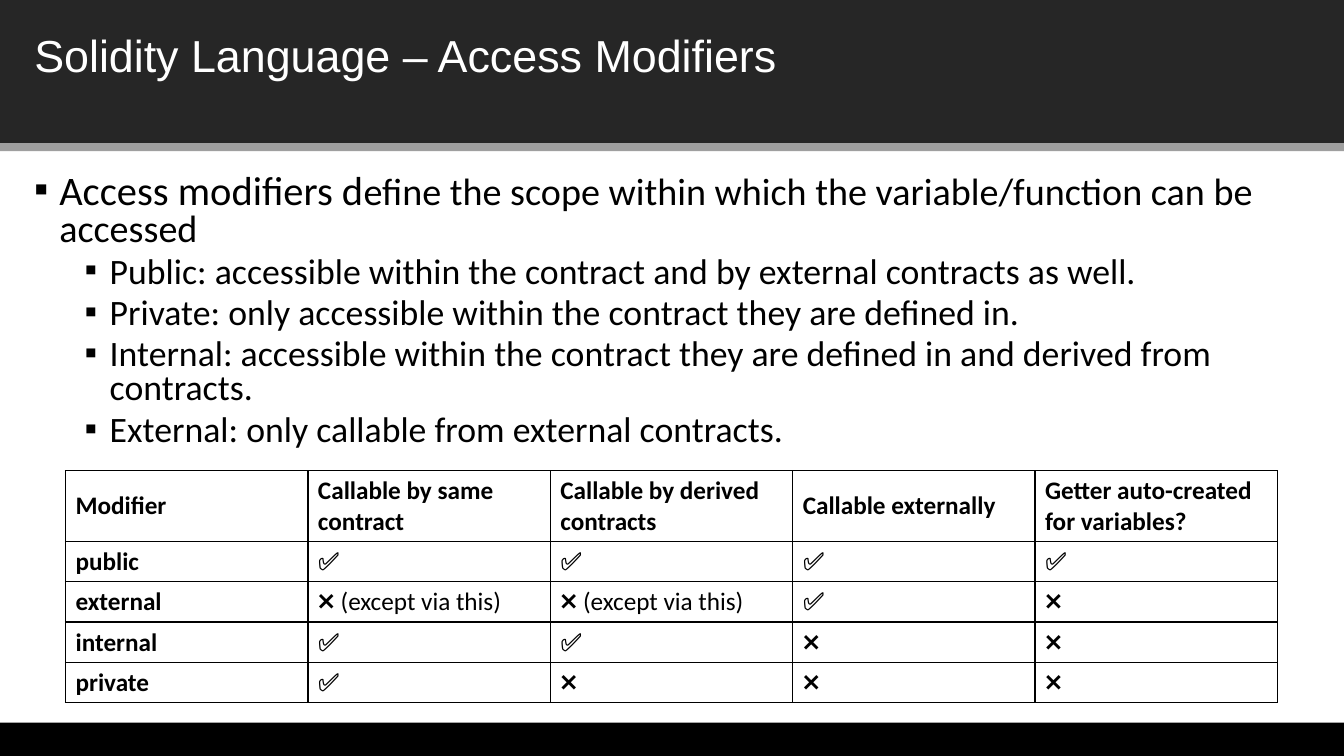
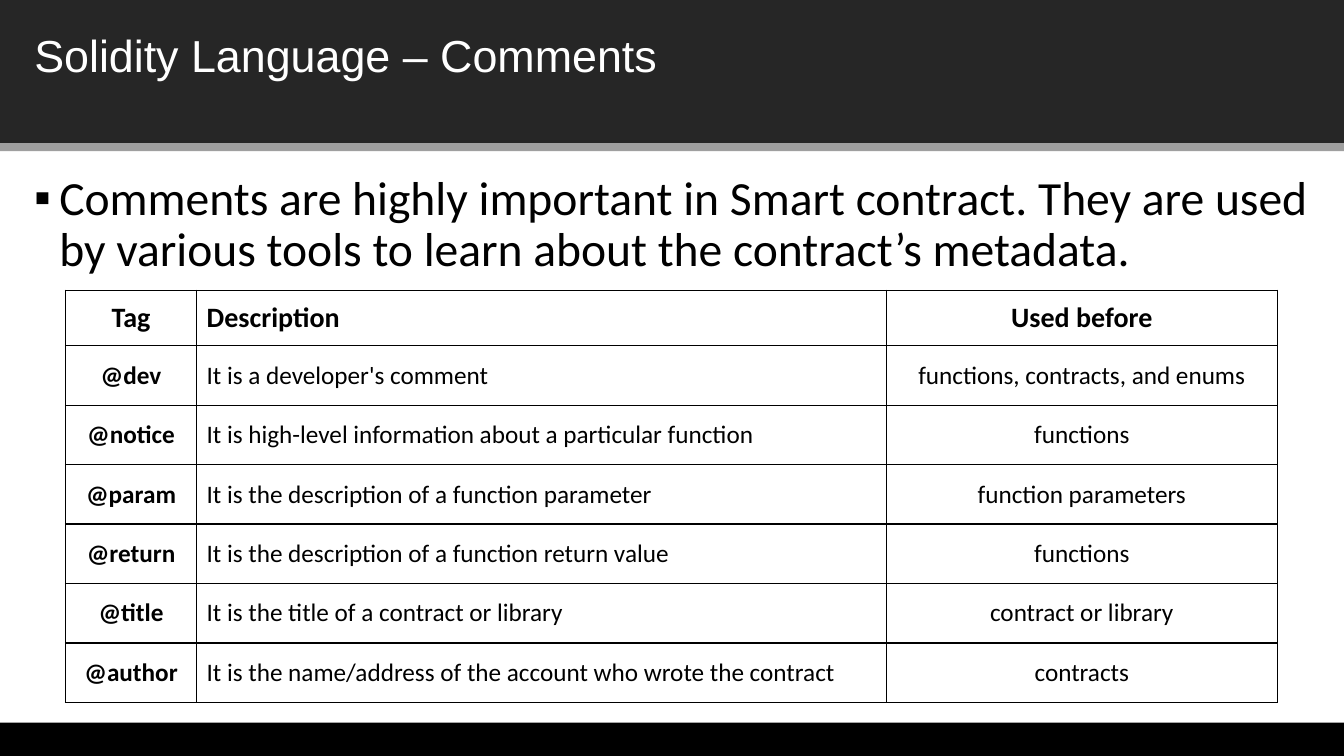
from lxml import etree
from pptx import Presentation
from pptx.dml.color import RGBColor
from pptx.enum.shapes import MSO_SHAPE
from pptx.enum.text import MSO_ANCHOR, PP_ALIGN
from pptx.oxml.ns import qn
from pptx.util import Inches, Pt

RECTANGLE = MSO_SHAPE.RECTANGLE
TOP, MIDDLE = MSO_ANCHOR.TOP, MSO_ANCHOR.MIDDLE
LEFT, CENTER = PP_ALIGN.LEFT, PP_ALIGN.CENTER

WIDTH, HEIGHT = 13.33, 7.5
INK, PAPER, HEADER_BAND, RULE = "000000", "FFFFFF", "262626", "9F9F9F"
TITLE_FONT, BODY_FONT = "Arial", "Calibri"
TITLE_BOX = (0.24, 0.22, 12.84, 0.64)
BODY_LEFT, BODY_TOP, BODY_WIDTH = 0.24, 1.68, 12.84
TABLE_LEFT, TABLE_WIDTH, TABLE_BOTTOM = 0.65, 12.02, 6.97
BANDS = [  # top, height, colour
    (0, 1.42, HEADER_BAND),
    (1.42, 0.08, RULE),
    (7.17, 0.33, INK),
]

YES, NO = "✅", "❌"
NOT_VIA_THIS = "❌ (except via this)"
ACCESS_POINTS = [  # level, runs of (text, size)
    (0, [("Access modifiers d", 28.9),
         ("efine the scope within which the variable/function can be accessed", 27.2)]),
    (1, [("Public: accessible within the contract and by external contracts as well.", 25.5)]),
    (1, [("Private: only accessible within the contract they are defined in.", 25.5)]),
    (1, [("Internal: accessible within the contract they are defined in and derived "
          "from contracts.", 25.5)]),
    (1, [("External: only callable from external contracts.", 25.5)]),
]
ACCESS_ROWS = [
    ("Modifier", "Callable by same contract", "Callable by derived contracts",
     "Callable externally", "Getter auto-created for variables?"),
    ("public", YES, YES, YES, YES),
    ("external", NOT_VIA_THIS, NOT_VIA_THIS, YES, NO),
    ("internal", YES, YES, NO, NO),
    ("private", YES, NO, NO, NO),
]
COMMENT_POINTS = [
    (0, [("Comments are highly important in Smart contract. They are used by various "
          "tools to learn about the contract’s metadata.", 34)]),
]
COMMENT_ROWS = [
    ("Tag", "Description", "Used before"),
    ("@dev", "It is a developer's comment", "functions, contracts, and enums"),
    ("@notice", "It is high-level information about a particular function", "functions"),
    ("@param", "It is the description of a function parameter", "function parameters"),
    ("@return", "It is the description of a function return value", "functions"),
    ("@title", "It is the title of a contract or library", "contract or library"),
    ("@author", "It is the name/address of the account who wrote the contract", "contracts"),
]


def rgb(hex_colour):
    return RGBColor.from_string(hex_colour)


def style(font, name, size, colour, bold=False):
    font.name, font.size, font.bold = name, Pt(size), bold
    font.color.rgb = rgb(colour)


def add_bands(slide):
    """Draw the bands, then hand them to the layout so every slide shows them."""
    layout_tree = slide.slide_layout.shapes.element
    for top, height, colour in BANDS:
        band = slide.shapes.add_shape(
            RECTANGLE, 0, Inches(top), Inches(WIDTH), Inches(height))
        band.shadow.inherit = False
        band.fill.solid()
        band.fill.fore_color.rgb = rgb(colour)
        band.line.fill.background()
        layout_tree.append(band.element)


def set_title(slide, text):
    title = slide.shapes.title
    title.left, title.top, title.width, title.height = map(Inches, TITLE_BOX)
    frame = title.text_frame
    frame.text, frame.vertical_anchor = text, MIDDLE
    paragraph = frame.paragraphs[0]
    paragraph.alignment = LEFT
    style(paragraph.font, TITLE_FONT, 32, PAPER)


def add_bullet(paragraph, level):
    properties = paragraph._p.get_or_add_pPr()
    properties.set("marL", str(Inches(0.25 + 0.5 * level)))
    properties.set("indent", str(Inches(-0.25)))
    etree.SubElement(properties, qn("a:buFont"), typeface="Arial")
    etree.SubElement(properties, qn("a:buChar"), char="▪")


def add_points(slide, points, height, line_spacing):
    body = slide.shapes.add_textbox(*map(Inches, (BODY_LEFT, BODY_TOP, BODY_WIDTH, height)))
    frame = body.text_frame
    frame.word_wrap, frame.vertical_anchor = True, TOP
    for index, (level, runs) in enumerate(points):
        paragraph = frame.add_paragraph() if index else frame.paragraphs[0]
        paragraph.level = level
        add_bullet(paragraph, level)
        paragraph.line_spacing = line_spacing
        paragraph.space_before = Pt(5 if index else 0)
        style(paragraph.font, BODY_FONT, runs[0][1], INK)
        for text, size in runs:
            run = paragraph.add_run()
            run.text = text
            style(run.font, BODY_FONT, size, INK)


def add_borders(cell):
    properties = cell._tc.get_or_add_tcPr()
    for side in ("lnL", "lnR", "lnT", "lnB"):
        line = etree.SubElement(properties, qn(f"a:{side}"), w=str(Pt(1)))
        fill = etree.SubElement(line, qn("a:solidFill"))
        etree.SubElement(fill, qn("a:srgbClr"), val=INK)


def add_grid(slide, rows, column_widths, header_height, row_height, header_size, alignments):
    """Place a ruled table that ends just above the bottom band."""
    height = header_height + row_height * (len(rows) - 1)
    table = slide.shapes.add_table(
        len(rows), len(column_widths), Inches(TABLE_LEFT), Inches(TABLE_BOTTOM - height),
        Inches(TABLE_WIDTH), Inches(height)).table
    table.first_row = table.horz_banding = False
    for column, width in zip(table.columns, column_widths):
        column.width = Inches(width)
    for row_index, texts in enumerate(rows):
        is_header = row_index == 0
        table.rows[row_index].height = Inches(header_height if is_header else row_height)
        for column_index, text in enumerate(texts):
            cell = table.cell(row_index, column_index)
            cell.text, cell.vertical_anchor = text, MIDDLE
            add_borders(cell)
            cell.fill.background()
            paragraph = cell.text_frame.paragraphs[0]
            paragraph.alignment = alignments[column_index]
            style(paragraph.font, BODY_FONT, header_size if is_header else 18, INK,
                  bold=is_header or column_index == 0)


def add_titled_slide(deck, title):
    slide = deck.slides.add_slide(deck.slide_layouts.get_by_name("Title Only"))
    set_title(slide, title)
    return slide


def main():
    deck = Presentation()
    deck.slide_width, deck.slide_height = Inches(WIDTH), Inches(HEIGHT)

    access = add_titled_slide(deck, "Solidity Language – Access Modifiers")
    add_bands(access)
    add_points(access, ACCESS_POINTS, height=3, line_spacing=0.8)
    add_grid(access, ACCESS_ROWS, [TABLE_WIDTH / 5] * 5, header_height=0.7,
             row_height=0.4, header_size=18, alignments=[LEFT] * 5)

    comments = add_titled_slide(deck, "Solidity Language – Comments")
    add_points(comments, COMMENT_POINTS, height=1.21, line_spacing=0.9)
    add_grid(comments, COMMENT_ROWS, [1.3, 6.84, 3.88], header_height=0.55,
             row_height=0.59, header_size=20, alignments=[CENTER, LEFT, CENTER])

    deck.save("out.pptx")


if __name__ == "__main__":
    main()
